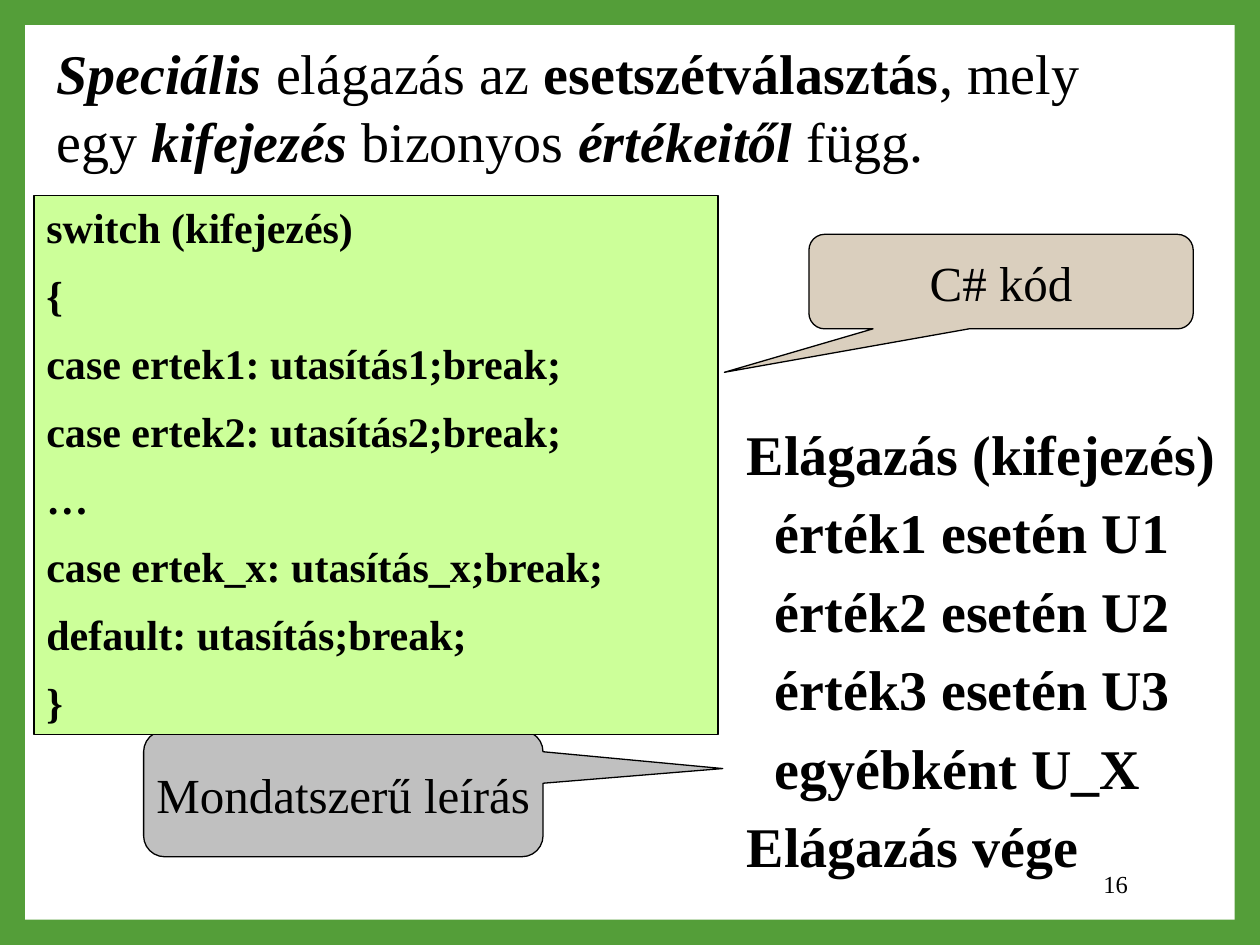
from pptx import Presentation
from pptx import util as u
from pptx.dml.color import RGBColor
from pptx.enum import shapes, text

GREEN = RGBColor(0x54, 0x9E, 0x39)
WHITE = RGBColor(0xFF, 0xFF, 0xFF)
BLACK = RGBColor(0, 0, 0)
LIME = RGBColor(0xCC, 0xFF, 0x99)
SILVER = RGBColor(0xC0, 0xC0, 0xC0)
SAND = RGBColor(0xDA, 0xCF, 0xBE)


class SlideBuilder:
    """Holds the text style and the current slide."""
    font_name = "Times New Roman"

    def __init__(self, slide, background):
        self.slide = slide
        slide.background.fill.solid()
        slide.background.fill.fore_color.rgb = background

    def style(self, run, size, bold=False, italic=False):
        font = run.font
        font.name, font.size = self.font_name, u.Pt(size)
        font.bold, font.italic = bold, italic
        font.color.rgb = BLACK

    def panel(self, box, fill, line=None, kind=shapes.MSO_SHAPE.RECTANGLE):
        panel = self.slide.shapes.add_shape(kind, *map(u.Inches, box))
        panel.shadow.inherit = False
        panel.fill.solid()
        panel.fill.fore_color.rgb = fill
        if line is None:
            panel.line.fill.background()
        else:
            panel.line.color.rgb = line
            panel.line.width = u.Pt(0.75)
        return panel

    def textbox(self, box):
        return self.slide.shapes.add_textbox(*map(u.Inches, box))

    def lines(self, shape, content, size, bold=False, before=0, after=0,
              align=text.PP_ALIGN.LEFT, anchor=text.MSO_ANCHOR.TOP, wrap=True):
        frame = shape.text_frame
        frame.text = "\n".join(content)
        frame.word_wrap = wrap
        frame.vertical_anchor = anchor
        for index, paragraph in enumerate(frame.paragraphs):
            paragraph.alignment = align
            paragraph.space_before = u.Pt(before if index else 0)
            paragraph.space_after = u.Pt(after)
            for run in paragraph.runs:
                self.style(run, size, bold)

    def mixed_lines(self, shape, rows, size):
        """Rows of (words, bold, italic) in one paragraph, split by line breaks."""
        shape.text_frame.word_wrap = True
        paragraph = shape.text_frame.paragraphs[0]
        for index, row in enumerate(rows):
            if index:
                paragraph.add_line_break()
            for words, bold, italic in row:
                run = paragraph.add_run()
                run.text = words
                self.style(run, size, bold, italic)

    def callout(self, box, label, fill, tip):
        bubble = self.panel(box, fill, BLACK,
                            shapes.MSO_SHAPE.ROUNDED_RECTANGULAR_CALLOUT)
        bubble.adjustments[0], bubble.adjustments[1] = tip
        self.lines(bubble, [label], 28, align=text.PP_ALIGN.CENTER,
                   anchor=text.MSO_ANCHOR.MIDDLE, wrap=False)


def main():
    prs = Presentation()
    prs.slide_width, prs.slide_height = u.Inches(10), u.Inches(7.5)
    builder = SlideBuilder(prs.slides.add_slide(prs.slide_layouts[6]), GREEN)

    # White page inside the green frame, with its number
    builder.panel((0.2, 0.2, 9.6, 7.1), WHITE)
    page_number = builder.textbox((7.65, 6.81, 1.4, 0.4))
    builder.lines(page_number, ["16"], 14, align=text.PP_ALIGN.RIGHT,
                  anchor=text.MSO_ANCHOR.MIDDLE)

    # Pseudocode
    pseudocode = builder.textbox((5.83, 3.28, 4.17, 3.83))
    builder.lines(pseudocode, [
        "Elágazás (kifejezés)",
        "  érték1 esetén U1",
        "  érték2 esetén U2",
        "  érték3 esetén U3",
        "  egyébként U_X",
        "Elágazás vége",
    ], 32, bold=True, before=6.4)
    builder.callout((1.14, 5.8, 3.17, 1), "Mondatszerű leírás", SILVER,
                    (0.95, -0.2))

    # C# code
    code = builder.panel((0.27, 1.55, 5.43, 4.28), LIME, BLACK)
    builder.lines(code, [
        "switch (kifejezés)",
        "{",
        "case ertek1: utasítás1;break;",
        "case ertek2: utasítás2;break;",
        "…",
        "case ertek_x: utasítás_x;break;",
        "default: utasítás;break;",
        "}",
    ], 24, bold=True, before=5, after=5)
    builder.callout((6.42, 1.86, 3.05, 0.75), "C# kód", SAND, (-0.72, 0.96))

    # Definition
    definition = builder.textbox((0.35, 0.26, 8.43, 1.17))
    builder.mixed_lines(definition, [
        [("Speciális", True, True), (" elágazás az ", False, False),
         ("esetszétválasztás", True, False), (", mely ", False, False)],
        [("egy ", False, False), ("kifejezés", True, True),
         (" bizonyos ", False, False), ("értékeitől", True, True),
         (" függ.", False, False)],
    ], 32)

    prs.save("out.pptx")


if __name__ == "__main__":
    main()
